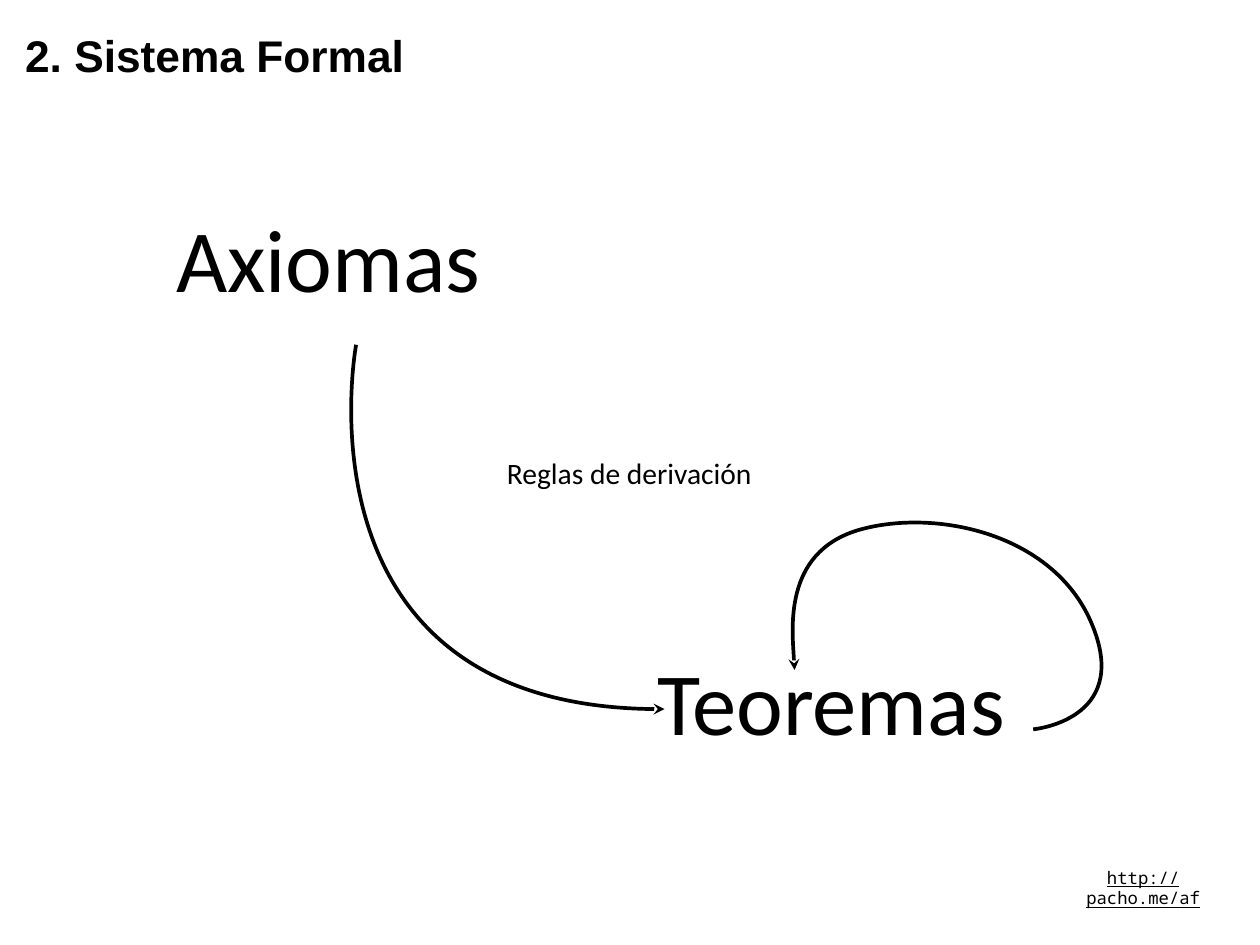
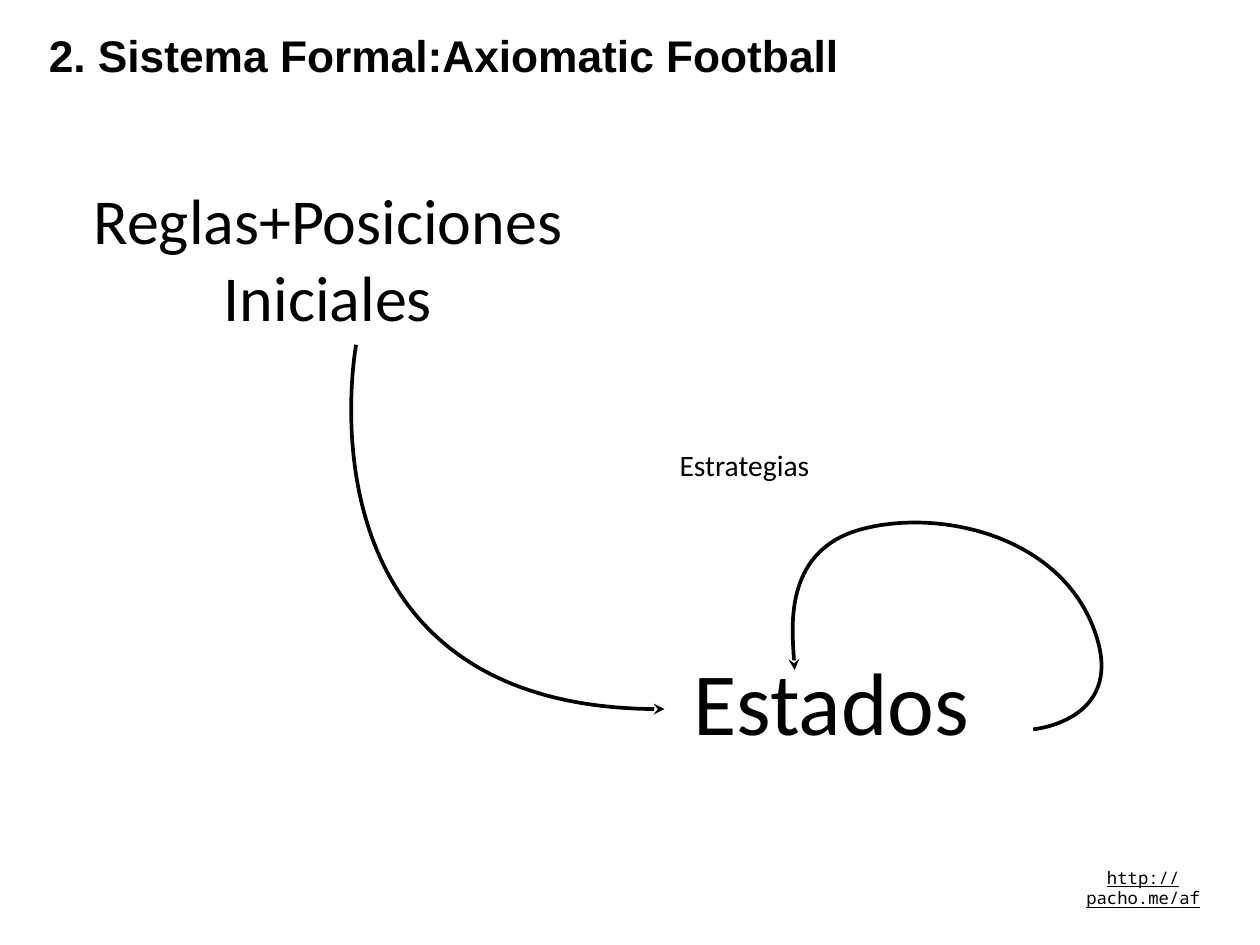
"""Two slides that set a formal system beside its football counterpart."""
from lxml import etree
from pptx import Presentation
from pptx.dml.color import RGBColor
from pptx.enum import text
from pptx.oxml.ns import qn
from pptx.util import Cm, Pt

COLOURS = {"ink": "000000", "paper": "FFFFFF"}
STYLES = {
    "title": {"name": "Arial", "size": Pt(36), "bold": True},
    "concept": {"name": "Calibri", "size": Pt(72)},
    "phrase": {"name": "Calibri", "size": Pt(52)},
    "rule": {"name": "Calibri", "size": Pt(24)},
    "address": {"name": "Noto Sans Mono", "size": Pt(14), "underline": True},
}
FRAME = {
    "word_wrap": True,
    "auto_size": text.MSO_AUTO_SIZE.NONE,
    "vertical_anchor": text.MSO_ANCHOR.MIDDLE,
    "margin_left": 0,
    "margin_right": 0,
    "margin_top": 0,
    "margin_bottom": 0,
}
ADDRESS = ("http://pacho.me/af", "address", (30.58, 25.15, 4.39, 0.58))
DERIVATION = [(10.21, 9.88), (10.21, 9.88), (8.23, 20.42), (19.05, 20.32)]
FEEDBACK = [
    (29.62, 20.9),
    (29.62, 20.9), (32.39, 20.65), (31.34, 17.98),
    (30.3, 15.29), (26.82, 14.55), (24.61, 15.19),
    (22.4, 15.85), (22.78, 19.2), (22.78, 19.2),
]
SLIDES = [
    ("2. Sistema Formal", (0.53, 0.66, 11.25, 1.8), [
        ("Axiomas", "concept", (4.32, 5.84, 10.19, 3.05)),
        ("Reglas de derivación", "rule", (13.94, 13.03, 8.2, 1.02)),
        ("Teoremas", "concept", (17.88, 18.54, 11.89, 3.05)),
    ]),
    ("2. Sistema Formal:Axiomatic Football", (0.71, 0.66, 24.03, 1.8), [
        ("Reglas+Posiciones Iniciales", "phrase", (0, 5.11, 18.8, 4.52)),
        ("Estrategias", "rule", (19.13, 12.8, 4.42, 1.02)),
        ("Estados", "concept", (19.18, 18.54, 9.3, 3.05)),
    ]),
]


def write(holder, wording, style):
    frame = holder.text_frame
    for key, value in FRAME.items():
        setattr(frame, key, value)
    paragraph = frame.paragraphs[0]
    paragraph.alignment = text.PP_ALIGN.CENTER
    run = paragraph.add_run()
    run.text = wording
    for key, value in STYLES[style].items():
        setattr(run.font, key, value)
    run.font.color.rgb = RGBColor.from_string(COLOURS["ink"])


def draw_curved_arrow(slide, points):
    start, *controls = [(Cm(x), Cm(y)) for x, y in points]
    builder = slide.shapes.build_freeform(*start)
    builder.add_line_segments(controls, close=False)
    arrow = builder.convert_to_shape()
    arrow.shadow.inherit = False
    arrow.fill.background()
    arrow.line.color.rgb = RGBColor.from_string(COLOURS["ink"])
    arrow.line.width = Pt(3)
    segments = list(arrow.element.iter(qn("a:lnTo")))
    outline = segments[0].getparent()
    for first in range(0, len(segments), 3):
        bezier = etree.SubElement(outline, qn("a:cubicBezTo"))
        for segment in segments[first:first + 3]:
            bezier.append(segment[0])
            outline.remove(segment)
    stroke = arrow.element.spPr.find(qn("a:ln"))
    etree.SubElement(stroke, qn("a:tailEnd"), type="stealth")


deck = Presentation()
deck.slide_width, deck.slide_height = Cm(36.12), Cm(27.08)
background = deck.slide_master.background.fill
background.solid()
background.fore_color.rgb = RGBColor.from_string(COLOURS["paper"])

for heading, heading_place, labels in SLIDES:
    slide = deck.slides.add_slide(deck.slide_layouts[5])
    title = slide.shapes.title
    title.left, title.top, title.width, title.height = map(Cm, heading_place)
    write(title, heading, "title")
    for wording, style, place in [ADDRESS, *labels]:
        write(slide.shapes.add_textbox(*map(Cm, place)), wording, style)
    for points in (DERIVATION, FEEDBACK):
        draw_curved_arrow(slide, points)

deck.save("out.pptx")
